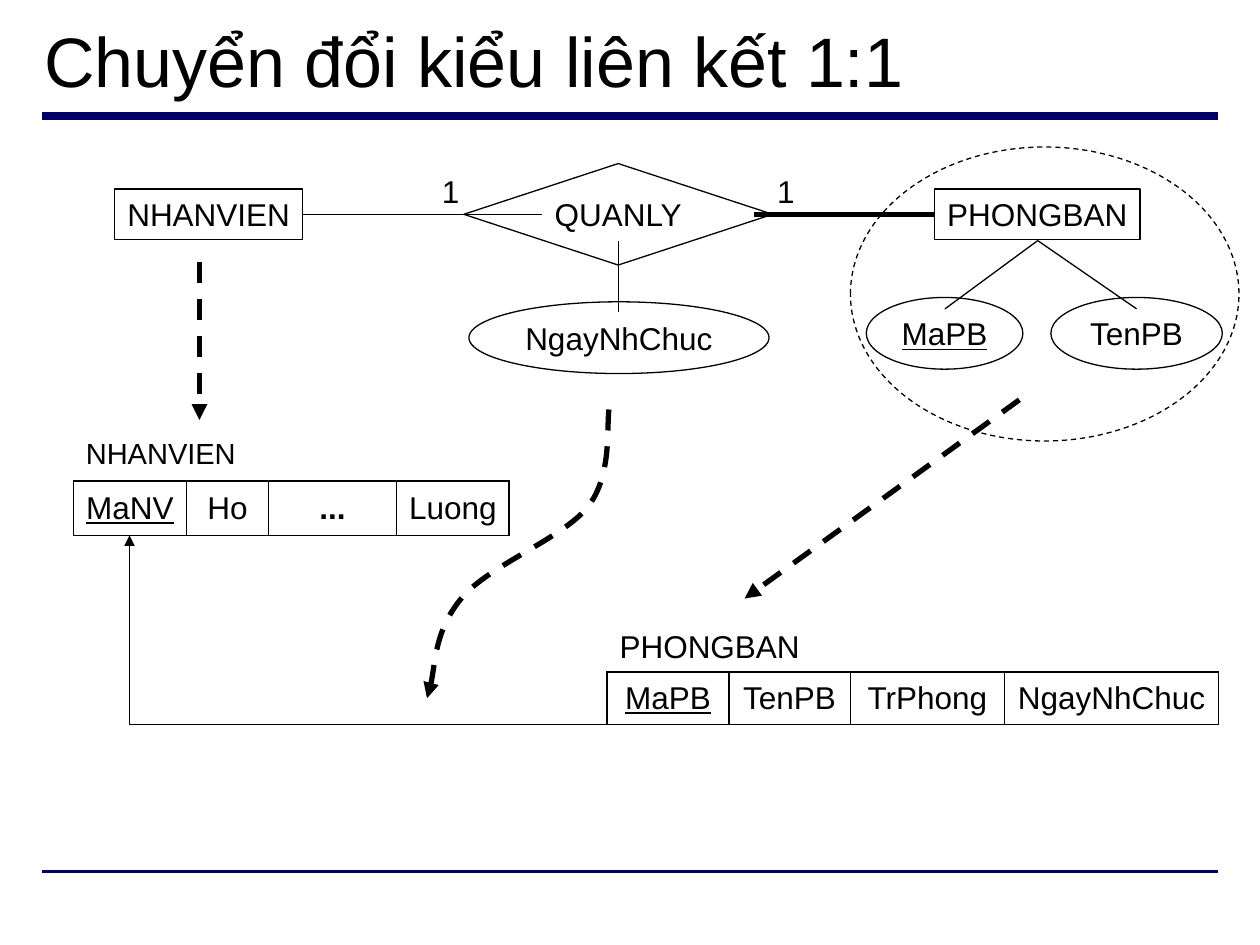
"""Build the slide on mapping a 1:1 relationship type to relations."""
from lxml import etree
from pptx import Presentation
from pptx.dml.color import RGBColor
from pptx.enum import dml, shapes, text
from pptx.oxml import ns
from pptx.util import Pt

BLACK, WHITE, NAVY = "000000", "FFFFFF", "000066"
TITLE = "Chuyển đổi kiểu liên kết 1:1"
RECT, DIAMOND, OVAL = (shapes.MSO_SHAPE.RECTANGLE, shapes.MSO_SHAPE.DIAMOND,
                       shapes.MSO_SHAPE.OVAL)
RULES = [((24, 66.5), (696, 66.5), 4.5), ((24, 498), (696, 498), 2.25)]
NODES = [
    (RECT, "NHANVIEN", (65.5, 108, 107.5, 29), None, False),
    (RECT, "PHONGBAN", (534, 108, 117.5, 29), None, False),
    (DIAMOND, "QUANLY", (265, 93.5, 176.5, 58), None, False),
    (OVAL, "MaPB", (495, 170, 89.5, 41), WHITE, True),
    (OVAL, "TenPB", (600.5, 170, 98, 41), WHITE, False),
    (OVAL, "NgayNhChuc", (268, 172.5, 171.5, 41), WHITE, False),
]
LINKS = [
    ((173, 122.5), (309.5, 122.5), 0.75),
    ((431, 122.5), (534, 122.5), 3),
    ((540, 176.5), (593, 137.5), 0.75),
    ((649.5, 176.5), (593, 137.5), 0.75),
    ((353.5, 178.5), (353.5, 137.5), 0.75),
]
MAPPINGS = [((114, 150), (114, 240)), ((582.5, 228.5), (425.5, 342))]
CARDINALITIES = [("1", (245.5, 94.5, 24.5, 29)), ("1", (437, 94.5, 24.5, 29))]
RELATIONS = [
    ("NHANVIEN", 16.6, (42, 275), 31,
     [("MaNV", 64.5), ("Ho", 47), ("...", 73), ("Luong", 64.5)]),
    ("PHONGBAN", 18, (347, 384), 30,
     [("MaPB", 69.5), ("TenPB", 69.5), ("TrPhong", 88), ("NgayNhChuc", 122.5)]),
]
FOREIGN_KEY = ((530, 414), (74, 306))
CURVE_START = (348, 234)
CURVE = [(346.5, 243.5), (350, 271.5), (336, 289.5), (322, 307.5), (279.5, 323),
         (264, 341.5), (248.5, 360), (248.5, 387.5), (244, 399)]


def color(code):
    return RGBColor.from_string(code)


def stroke(line, width, code=BLACK, dashed=False, arrow=False):
    line.color.rgb = color(code)
    line.width = Pt(width)
    if dashed:
        line.dash_style = dml.MSO_LINE.DASH
    if arrow:
        etree.SubElement(line._get_or_add_ln(), ns.qn("a:tailEnd"), type="triangle")


def connect(slide, start, end, width, kind=shapes.MSO_CONNECTOR.STRAIGHT, **style):
    link = slide.shapes.add_connector(kind, *map(Pt, start + end))
    stroke(link.line, width, **style)
    etree.SubElement(link._element.spPr, ns.qn("a:effectLst"))
    return link


def write(frame, words, size=18, align=text.PP_ALIGN.CENTER, underline=False, bold=False):
    paragraph = frame.paragraphs[0]
    paragraph.alignment = align
    run = paragraph.add_run()
    run.text = words
    run.font.name, run.font.size = "Arial", Pt(size)
    run.font.color.rgb = color(BLACK)
    run.font.bold = bold
    if underline:
        run.font.underline = True


def add_outline(slide, kind, place, fill=None, dashed=False):
    shape = slide.shapes.add_shape(kind, *map(Pt, place))
    shape.shadow.inherit = False
    if fill:
        shape.fill.solid()
        shape.fill.fore_color.rgb = color(fill)
    else:
        shape.fill.background()
    stroke(shape.line, 0.75, dashed=dashed)
    return shape


def add_node(slide, kind, label, place, fill, is_key):
    frame = add_outline(slide, kind, place, fill).text_frame
    frame.word_wrap = False
    frame.vertical_anchor = text.MSO_ANCHOR.MIDDLE
    write(frame, label, underline=is_key)


def add_label(slide, label, place, size=18):
    frame = slide.shapes.add_textbox(*map(Pt, place)).text_frame
    frame.word_wrap = True
    write(frame, label, size, text.PP_ALIGN.LEFT)


def border(cell):
    properties = cell._tc.get_or_add_tcPr()
    for position, side in enumerate(("lnL", "lnR", "lnT", "lnB")):
        edge = etree.Element(ns.qn(f"a:{side}"), w=str(Pt(1)))
        paint = etree.SubElement(edge, ns.qn("a:solidFill"))
        etree.SubElement(paint, ns.qn("a:srgbClr"), val=BLACK)
        properties.insert(position, edge)


def add_relation(slide, name, size, corner, height, attributes):
    left, top = corner
    add_label(slide, name, (left, top - 29.5, 185, 29), size)
    width = sum(attribute[1] for attribute in attributes)
    table = slide.shapes.add_table(1, len(attributes), *map(Pt, (left, top, width, height))).table
    table.first_row = table.horz_banding = False
    table.rows[0].height = Pt(height)
    for column, (label, cell_width) in enumerate(attributes):
        table.columns[column].width = Pt(cell_width)
        cell = table.cell(0, column)
        cell.margin_left = cell.margin_right = Pt(3)
        cell.vertical_anchor = text.MSO_ANCHOR.MIDDLE
        cell.fill.background()
        border(cell)
        write(cell.text_frame, label, underline=column == 0, bold=label == "...")


def add_curve(slide):
    builder = slide.shapes.build_freeform(*map(Pt, CURVE_START))
    builder.add_line_segments([tuple(map(Pt, point)) for point in CURVE], close=False)
    curve = builder.convert_to_shape()
    curve.shadow.inherit = False
    curve.fill.background()
    stroke(curve.line, 3, dashed=True, arrow=True)
    segments = list(curve._element.iter(ns.qn("a:lnTo")))
    for first in range(0, len(segments), 3):
        bezier = etree.SubElement(segments[first].getparent(), ns.qn("a:cubicBezTo"))
        for segment in segments[first:first + 3]:
            bezier.append(segment[0])
            segment.getparent().remove(segment)


def main():
    deck = Presentation()
    deck.slide_width, deck.slide_height = Pt(720), Pt(540)
    slide = deck.slides.add_slide(deck.slide_layouts[5])
    title = slide.shapes.title
    title.left, title.top, title.width, title.height = map(Pt, (18, 6.5, 684, 55.5))
    title.text_frame.vertical_anchor = text.MSO_ANCHOR.MIDDLE
    write(title.text_frame, TITLE, 40, text.PP_ALIGN.LEFT)
    for start, end, width in RULES:
        connect(slide, start, end, width, code=NAVY)
    for relation in RELATIONS:
        add_relation(slide, *relation)
    for node in NODES:
        add_node(slide, *node)
    for link in LINKS:
        connect(slide, *link)
    for label, place in CARDINALITIES:
        add_label(slide, label, place)
    for start, end in MAPPINGS:
        connect(slide, start, end, 3, dashed=True, arrow=True)
    key = connect(slide, *FOREIGN_KEY, 0.75, kind=shapes.MSO_CONNECTOR.ELBOW, arrow=True)
    bend = key._element.spPr.find(ns.qn("a:prstGeom")).get_or_add_avLst()
    etree.SubElement(bend, ns.qn("a:gd"), name="adj1", fmla="val 100000")
    add_outline(slide, OVAL, (486, 84, 222, 168), dashed=True)
    add_curve(slide)
    deck.save("out.pptx")


if __name__ == "__main__":
    main()
